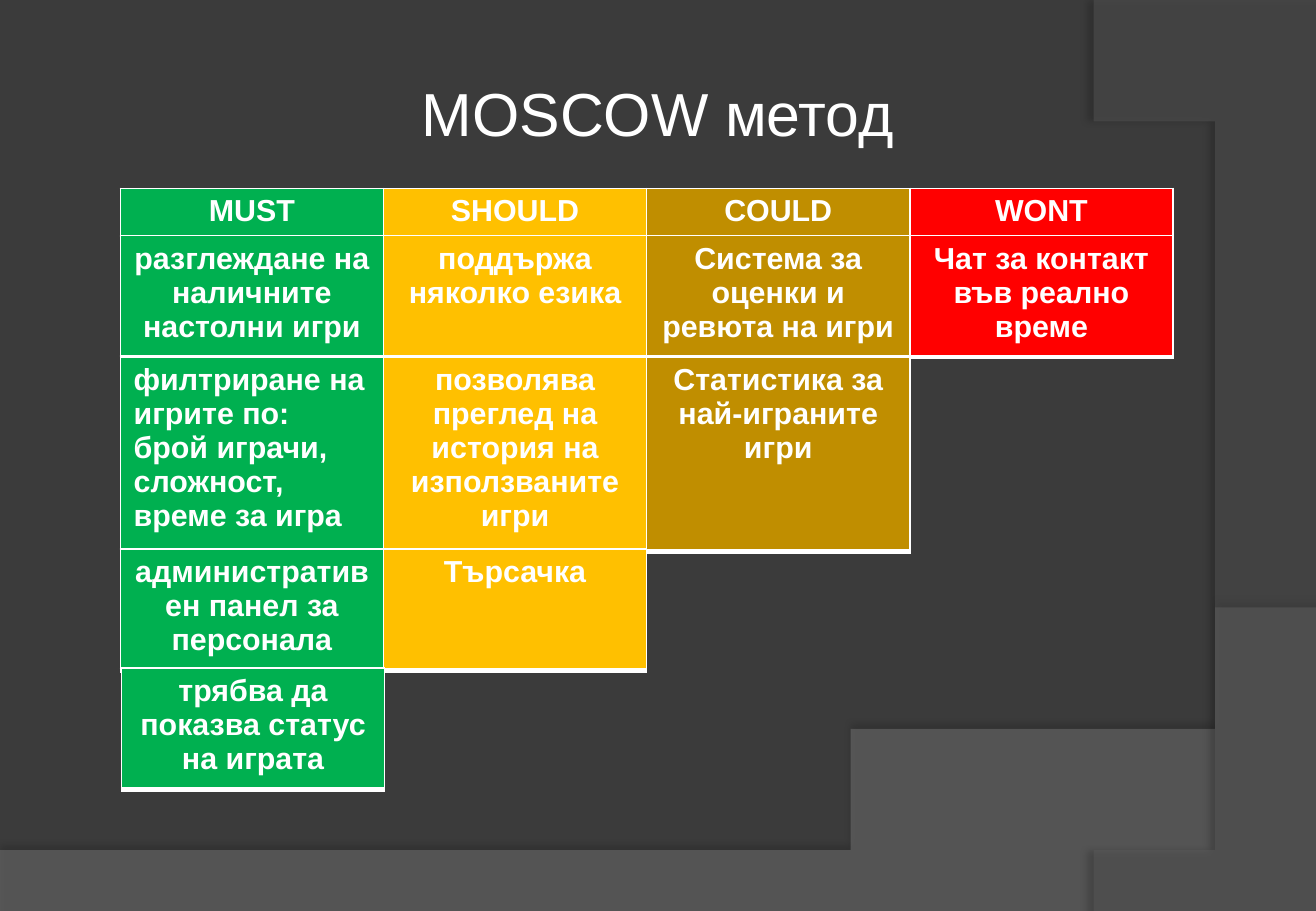
"""Builds the MOSCOW method slide: a staircase of coloured requirement tables."""
import pptx
import pptx.util
import pptx.dml.color
import pptx.enum.text
import pptx.oxml
import pptx.oxml.ns

Inches, Pt = pptx.util.Inches, pptx.util.Pt
RGBColor = pptx.dml.color.RGBColor
CENTER = pptx.enum.text.PP_ALIGN.CENTER
LEFT = pptx.enum.text.PP_ALIGN.LEFT
MIDDLE = pptx.enum.text.MSO_ANCHOR.MIDDLE
qn = pptx.oxml.ns.qn
NS = pptx.oxml.ns.nsdecls("a")

WHITE = RGBColor(0xFF, 0xFF, 0xFF)
BACKGROUND = RGBColor(0x3B, 0x3B, 0x3B)
WAVE = RGBColor(0x7F, 0x7F, 0x7F)
ARC = RGBColor(0x5E, 0x5E, 0x5E)
GREEN = RGBColor(0x00, 0xB0, 0x50)
AMBER = RGBColor(0xFF, 0xC0, 0x00)
OCHRE = RGBColor(0xC0, 0x8E, 0x00)
RED = RGBColor(0xFF, 0x00, 0x00)
COLUMN_COLORS = [GREEN, AMBER, OCHRE, RED]

W, H = 10.83, 7.5
COL = W / 5
STEPS = 60


def bezier(a, b, c, d):
    """Return points along a cubic curve."""
    ts = [i / STEPS for i in range(STEPS + 1)]
    return [tuple((1 - t) ** 3 * a[k] + 3 * (1 - t) ** 2 * t * b[k]
                  + 3 * (1 - t) * t ** 2 * c[k] + t ** 3 * d[k] for k in (0, 1))
            for t in ts]


def style(p, size, bold, align):
    """Set the look of one paragraph."""
    p.alignment = align
    p.font.name = "Arial"
    p.font.size = Pt(size)
    p.font.bold = bold
    p.font.color.rgb = WHITE


prs = pptx.Presentation()
prs.slide_width, prs.slide_height = Inches(W), Inches(H)
s = prs.slides.add_slide(prs.slide_layouts[6])
s.background.fill.solid()
s.background.fill.fore_color.rgb = BACKGROUND

wave = [(0, H)] + bezier((0, 7.05), (4.23, 7.19), (6.06, 7.29), (W, 5.2)) + [(W, H)]
arc = [(W, 0.02), (W, H)] + bezier((8.9, H), (10.12, 6.19), (11.02, 3), (8.67, 0))
for points, color, alpha, shade, dist, angle in [
    (wave, WAVE, 45, 35, 3.5, 270),
    (arc, ARC, 40, 45, 4, 180),
]:
    builder = s.shapes.build_freeform(*points[0], scale=Inches(1))
    builder.add_line_segments(points[1:], close=True)
    sp = builder.convert_to_shape()
    sp.fill.solid()
    sp.fill.fore_color.rgb = color
    sp.line.fill.background()
    sp.shadow.inherit = False
    spPr = sp._element.spPr
    spPr.find(qn("a:solidFill"))[0].append(
        pptx.oxml.parse_xml(f'<a:alpha {NS} val="{alpha * 1000}"/>'))
    spPr.find(qn("a:effectLst")).append(pptx.oxml.parse_xml(
        f'<a:outerShdw {NS} blurRad="{Pt(4)}" dist="{Pt(dist)}" dir="{angle * 60000}"'
        f' algn="ctr" rotWithShape="0"><a:srgbClr val="000000">'
        f'<a:alpha val="{shade * 1000}"/></a:srgbClr></a:outerShdw>'))

sp = s.shapes.add_textbox(Inches(W * 0.05), Inches(H * 0.04), Inches(W * 0.9), Inches(H / 6))
tf = sp.text_frame
tf.word_wrap = True
tf.vertical_anchor = MIDDLE
tf.margin_left = tf.margin_right = tf.margin_top = tf.margin_bottom = Inches(0.05)
tf.text = "MOSCOW метод"
style(tf.paragraphs[0], 36, False, CENTER)

bands = [
    (0.99, 1.55, 0.41, ["MUST", "SHOULD", "COULD", "WONT"]),
    (0.99, 1.94, 0.93, ["разглеждане на наличните настолни игри",
                        "поддържа няколко езика",
                        "Система за оценки и ревюта на игри",
                        "Чат за контакт във реално време"]),
    (0.99, 2.94, 1.49, ["филтриране на игрите по:\nброй играчи,\nсложност,\nвреме за игра",
                        "позволява преглед на история на използваните игри",
                        "Статистика за най-играните игри"]),
    (0.99, 4.52, 0.93, ["административен панел за персонала", "Търсачка"]),
    (1, 5.5, 0.93, ["трябва да показва статус на играта"]),
]
for left, top, height, texts in bands:
    table = s.shapes.add_table(1, len(texts), Inches(left), Inches(top),
                               Inches(COL * len(texts)), Inches(height)).table
    table.first_row = table.horz_banding = False
    for i, (text, color) in enumerate(zip(texts, COLUMN_COLORS)):
        table.columns[i].width = Inches(COL)
        cell = table.cell(0, i)
        cell.margin_left = cell.margin_right = Inches(0.11)
        cell.margin_top = cell.margin_bottom = Inches(0.05)
        cell.text = text
        for p in cell.text_frame.paragraphs:
            style(p, 18, True, LEFT if "\n" in text else CENTER)
        tcPr = cell._tc.get_or_add_tcPr()
        for side, width in [("L", 1), ("R", 1), ("T", 1), ("B", 3)]:
            tcPr.append(pptx.oxml.parse_xml(
                f'<a:ln{side} {NS} w="{Pt(width)}"><a:solidFill>'
                f'<a:srgbClr val="{WHITE}"/></a:solidFill></a:ln{side}>'))
        cell.fill.solid()
        cell.fill.fore_color.rgb = color

prs.save("out.pptx")
